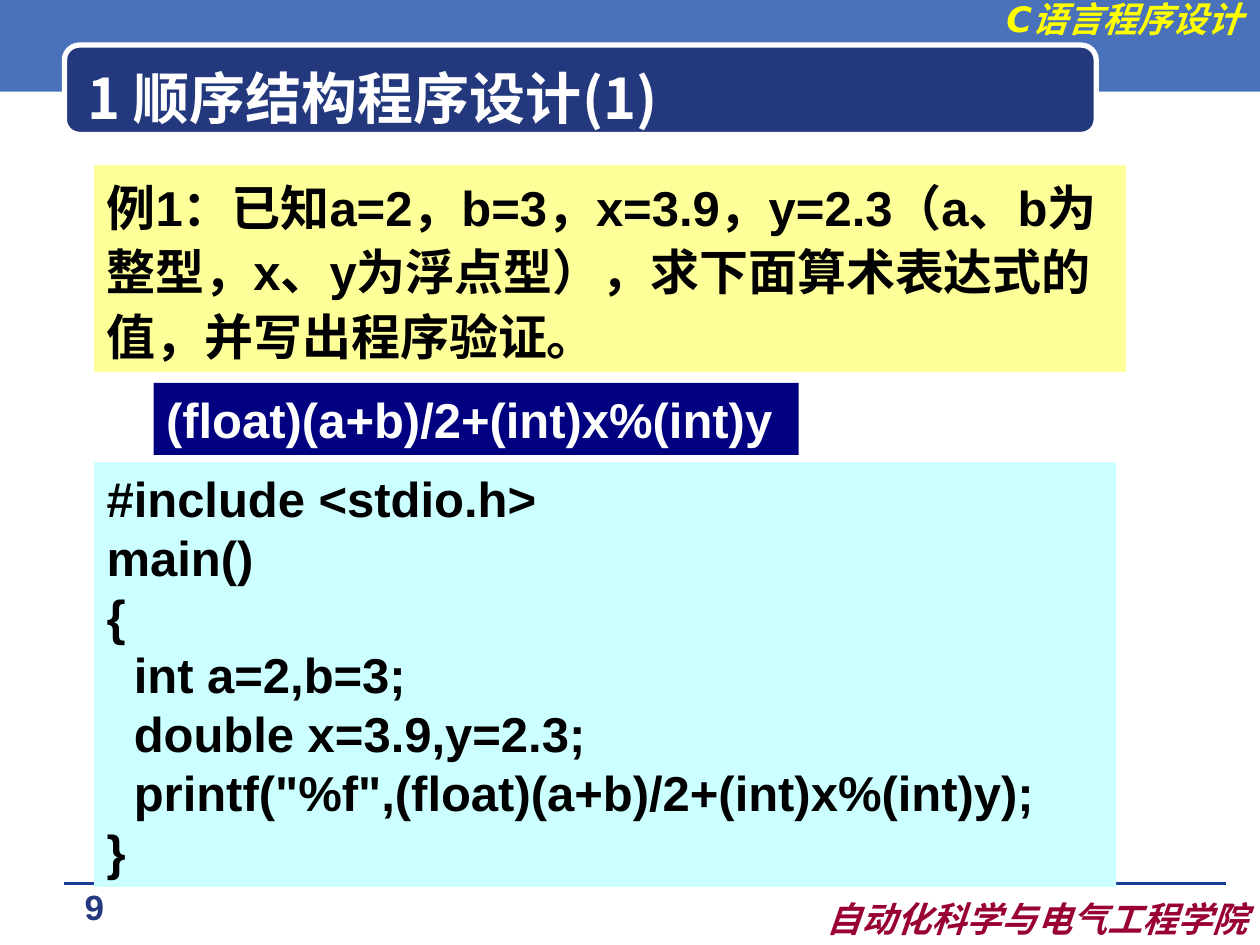
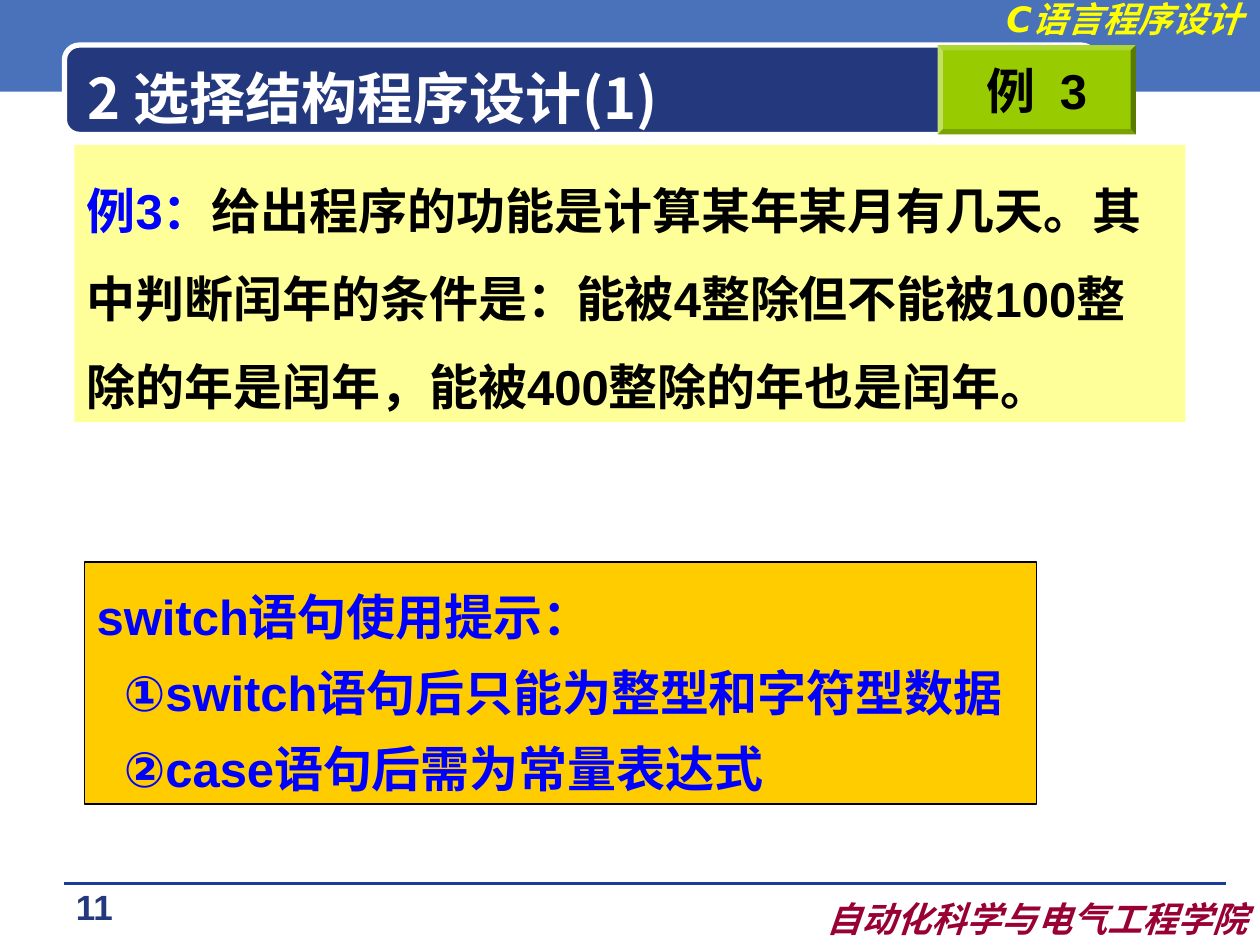
from lxml import etree
from pptx import Presentation
from pptx.dml.color import RGBColor
from pptx.enum.shapes import MSO_CONNECTOR, MSO_SHAPE
from pptx.enum.text import MSO_ANCHOR, MSO_AUTO_SIZE, PP_ALIGN
from pptx.oxml.ns import qn
from pptx.util import Cm, Pt

RECT, ROUNDED, BEVEL = MSO_SHAPE.RECTANGLE, MSO_SHAPE.ROUNDED_RECTANGLE, MSO_SHAPE.BEVEL
STRAIGHT = MSO_CONNECTOR.STRAIGHT
TOP, MIDDLE = MSO_ANCHOR.TOP, MSO_ANCHOR.MIDDLE
LEFT, CENTER, RIGHT = PP_ALIGN.LEFT, PP_ALIGN.CENTER, PP_ALIGN.RIGHT
FIT = MSO_AUTO_SIZE.SHAPE_TO_FIT_TEXT

WIDTH, HEIGHT = 25.4, 19.05
PAGE = (0, 0, WIDTH, HEIGHT)
BODY_FONT, LABEL_FONT, CJK_FONT = "Arial", "DejaVu Sans", "Noto Sans CJK SC"
BAND, NAVY, RULE = "4972BB", "23387D", "1A3D97"
WHITE, BLACK, BLUE = "FFFFFF", "000000", "0000FF"
YELLOW, CRIMSON = "FFFF00", "990033"
CREAM, DARK_BLUE, CYAN = "FFFF99", "000080", "CCFFFF"
GREEN, GOLD = "99CC00", "FFCC00"
INDENT = 0.55


def rgb(value):
    """Turn a hex string into a colour."""
    return RGBColor.from_string(value)


def add_box(s, box, fill, kind=RECT, line=None, width=0.75):
    """Add a flat filled shape."""
    sp = s.shapes.add_shape(kind, *map(Cm, box))
    sp.shadow.inherit = False
    sp.fill.solid()
    sp.fill.fore_color.rgb = rgb(fill)
    if line:
        sp.line.color.rgb = rgb(line)
        sp.line.width = Pt(width)
    else:
        sp.line.fill.background()
    return sp


def add_rule(s, x1, x2, y):
    """Draw the hairline above the footer."""
    line = s.shapes.add_connector(STRAIGHT, Cm(x1), Cm(y), Cm(x2), Cm(y))
    line.line.color.rgb = rgb(RULE)
    line.line.width = 0
    etree.SubElement(line._element.spPr, qn("a:effectLst"))


def set_font(p, size, color, name, italic):
    """Set one bold font for a whole paragraph."""
    font = p.font
    font.size, font.bold, font.italic = Pt(size), True, italic
    font.color.rgb = rgb(color)
    font.name = name
    props = p._p.pPr.find(qn("a:defRPr"))
    etree.SubElement(props, qn("a:ea"), typeface=CJK_FONT)


def write(sp, lines, color=BLACK, size=28, name=BODY_FONT, italic=False, align=LEFT,
          anchor=TOP, spacing=None, before=None, indented=(), fit=False):
    """Fill a shape with paragraphs of one style."""
    tf = sp.text_frame
    tf.word_wrap = True
    tf.vertical_anchor = anchor
    if fit:
        tf.auto_size = FIT
    for i, text in enumerate(lines):
        p = tf.paragraphs[0] if i == 0 else tf.add_paragraph()
        p.alignment = align
        if spacing:
            p.line_spacing = spacing
        if before:
            p.space_before = Pt(before)
        set_font(p, size, color, name, italic)
        if i in indented:
            p._p.pPr.set("marL", str(Cm(INDENT)))
        p.add_run().text = text
    return tf


def add_label(s, box, text, color, **style):
    """Add a text box holding one line."""
    write(s.shapes.add_textbox(*map(Cm, box)), [text], color, **style)


def add_frame(s, box, title, number):
    """Draw the band, title plate, course name and footer in the page box."""
    x, y, w, h = box
    add_box(s, (x, y - 0.08, w, 1.93), BAND)
    add_rule(s, x + 1.3, x + w - 0.69, y + h - 1.24)
    plate = add_box(s, (x + 1.3, y + 0.91, 20.8, 1.8), NAVY, ROUNDED, WHITE, 3)
    plate.adjustments[0] = 0.167
    label = dict(size=20, name=LABEL_FONT, italic=True, align=RIGHT, fit=True)
    add_label(s, (x + w - 6.5, y - 0.18, 6.4, 1.12), "C语言程序设计", YELLOW, **label)
    add_label(s, (x + w - 10.26, y + h - 1.09, 10.26, 1.12),
              "自动化科学与电气工程学院", CRIMSON, **label)
    add_label(s, (x + 0.51, y + h - 1.32, 2.79, 1.09), number, NAVY, size=20, align=CENTER)
    add_label(s, (x + 1.52, y + 1.17, 19.89, 1.57), title, WHITE,
              size=32, name=CJK_FONT, anchor=MIDDLE)


def add_sequence_example(s, box):
    """Stack the problem, its expression and the program."""
    x, y, w, h = box
    problem = add_box(s, (x, y, w, 4.17), CREAM)
    write(problem, ["例1：已知a=2，b=3，x=3.9，y=2.3（a、b为整型，x、y为浮点型），"
                    "求下面算术表达式的值，并写出程序验证。"],
          spacing=1.1, before=17.5, fit=True)
    expression = add_box(s, (x + 1.2, y + 4.39, 13, 1.45), DARK_BLUE)
    write(expression, ["(float)(a+b)/2+(int)x%(int)y"], WHITE, before=17.5, fit=True)
    program = add_box(s, (x, y + 5.99, w - 0.2, h - 5.99), CYAN)
    write(program, ["#include <stdio.h>", "main()", "{", "int a=2,b=3;",
                    "double x=3.9,y=2.3;",
                    'printf("%f",(float)(a+b)/2+(int)x%(int)y);', "}"],
          indented=(3, 4, 5), fit=True)


def add_selection_example(s, box):
    """Place the problem, the example button and the switch hints."""
    x, y, w, h = box
    problem = add_box(s, (x, y, w, 5.59), CREAM)
    tf = write(problem, ["例3："], spacing=1.5, before=17.5, fit=True)
    p = tf.paragraphs[0]
    p.runs[0].font.color.rgb = rgb(BLUE)
    p.add_run().text = ("给出程序的功能是计算某年某月有几天。其中判断闰年的条件是："
                        "能被4整除但不能被100整除的年是闰年，能被400整除的年也是闰年。")
    button = add_box(s, (x + 17.4, y - 2.01, 4, 1.8), GREEN, BEVEL)
    button.adjustments[0] = 0.06
    write(button, ["例\u20023"], align=CENTER, anchor=MIDDLE)
    hints = add_box(s, (x + 0.2, y + h - 4.88, 19.2, 4.88), GOLD, line=BLACK)
    write(hints, ["switch语句使用提示：", "①switch语句后只能为整型和字符型数据",
                  "②case语句后需为常量表达式"],
          BLUE, anchor=MIDDLE, spacing=1.3, indented=(1, 2), fit=True)


SLIDES = [
    ("1 顺序结构程序设计(1)", "9", add_sequence_example, (1.9, 3.33, 20.8, 14.55)),
    ("2 选择结构程序设计(1)", "11", add_selection_example, (1.5, 2.92, 22.4, 13.29)),
]

prs = Presentation()
prs.slide_width, prs.slide_height = Cm(WIDTH), Cm(HEIGHT)
for title, number, add_example, area in SLIDES:
    s = prs.slides.add_slide(prs.slide_layouts[6])
    add_frame(s, PAGE, title, number)
    add_example(s, area)
prs.save("out.pptx")
